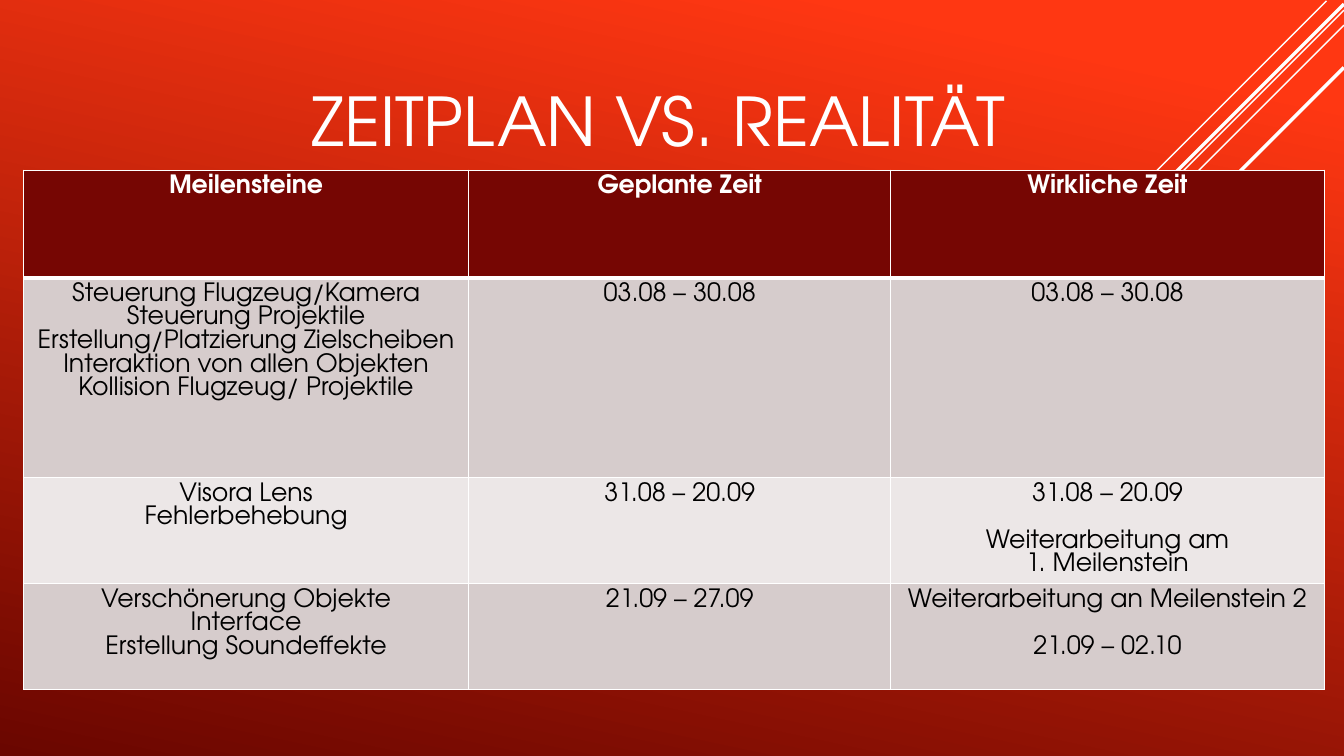
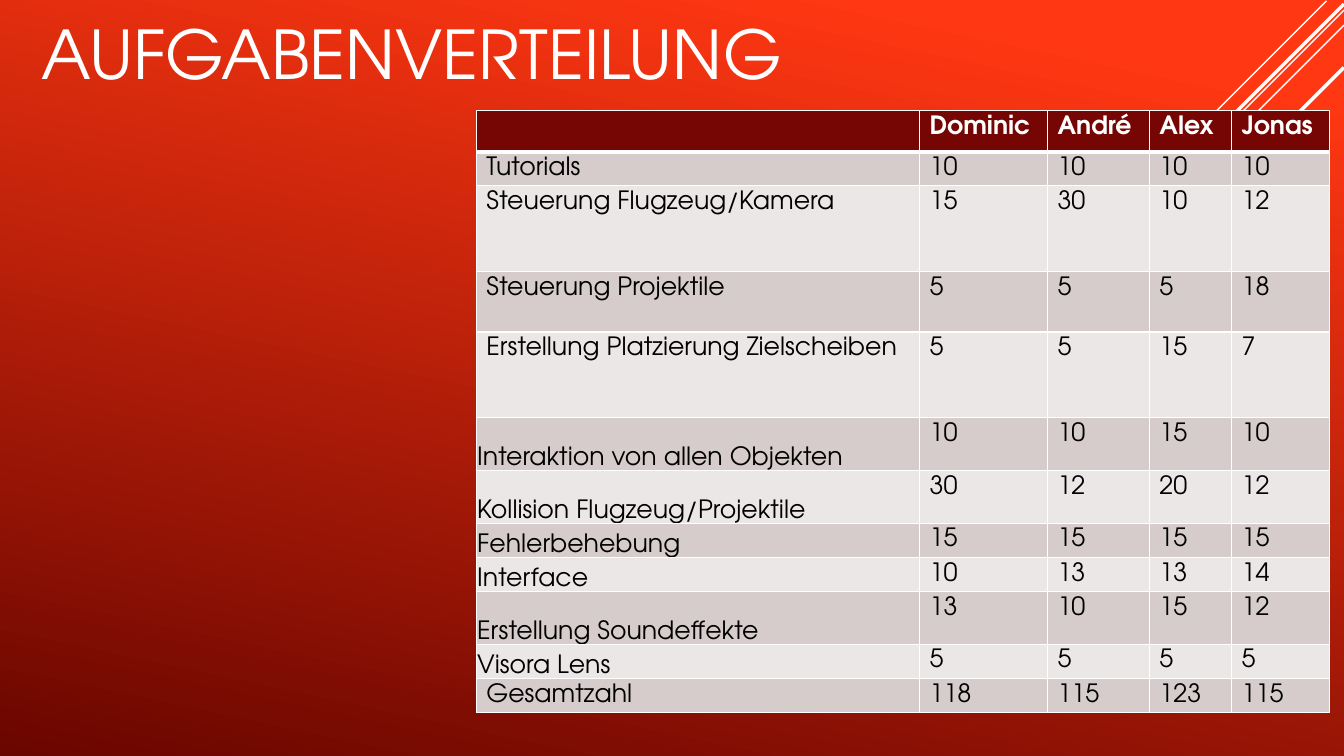
from dataclasses import dataclass
from typing import NamedTuple

import pptx
import pptx.dml.color
import pptx.enum.shapes
import pptx.enum.text
import pptx.oxml
import pptx.oxml.ns
import pptx.presentation
import pptx.shapes.autoshape
import pptx.slide
import pptx.table
import pptx.text.text
import pptx.util

Pt = pptx.util.Pt
RGBColor = pptx.dml.color.RGBColor
Align = pptx.enum.text.PP_ALIGN
Anchor = pptx.enum.text.MSO_ANCHOR


@dataclass(frozen=True)
class Theme:
    font: str = "TeX Gyre Adventor"
    title_size: float = 48
    table_size: float = 18
    white: str = "FFFFFF"
    black: str = "000000"
    glow: str = "FF3712"
    dusk: str = "6A0600"
    header: str = "760603"
    bands: tuple[str, str] = ("D6CCCC", "ECE7E7")
    border: float = 1
    header_border: float = 3
    paragraph_gap: float = 16.8


THEME = Theme()


class Box(NamedTuple):
    left: float
    top: float
    width: float
    height: float


class Diagonal(NamedTuple):
    """A 45° line running down and left from its start."""
    x: float
    y: float
    run: float
    weight: float


@dataclass(frozen=True)
class TableSlide:
    title: str
    title_box: Box
    left: float
    top: float
    columns: tuple[float, ...]
    heights: tuple[float, ...]
    rows: tuple[tuple[str, ...], ...]
    alignment: Align
    gaps: frozenset[tuple[int, int, int]] = frozenset()  # row, column, paragraph
    low_label_rows: range = range(0)


DIAGONALS = (
    Diagonal(947.5, 0.7, 299.8, 1),
    Diagonal(960, 7.2, 478.8, 1),
    Diagonal(960, 18, 390.4, 1),
    Diagonal(960, 2.9, 382, 2.5),
    Diagonal(960, 48.2, 342, 2.5),
)

SCHEDULE = TableSlide(
    title="ZEITPLAN VS. REALITÄT",
    title_box=Box(155.5, 20.9, 630, 97.2),
    left=16.7,
    top=121.6,
    columns=(318.2, 301.4, 309.6),
    heights=(76.8, 142.8, 75.8, 75.8),
    rows=(
        ("Meilensteine", "Geplante Zeit", "Wirkliche Zeit"),
        ("Steuerung Flugzeug/Kamera\nSteuerung Projektile\n"
         "Erstellung/Platzierung Zielscheiben\n"
         "Interaktion von allen Objekten\nKollision Flugzeug/ Projektile",
         "03.08 – 30.08", "03.08 – 30.08"),
        ("Visora Lens\nFehlerbehebung", "31.08 – 20.09",
         "31.08 – 20.09\nWeiterarbeitung am\n1. Meilenstein"),
        ("Verschönerung Objekte\nInterface\nErstellung Soundeffekte",
         "21.09 – 27.09", "Weiterarbeitung an Meilenstein 2\n21.09 – 02.10"),
    ),
    alignment=Align.CENTER,
    gaps=frozenset({(2, 2, 1), (3, 2, 1)}),
)

TASKS = TableSlide(
    title="AUFGABENVERTEILUNG",
    title_box=Box(-20.9, 0, 630, 69.8),
    left=340.2,
    top=79.2,
    columns=(316.6, 91.4, 72.8, 58.8, 69.8),
    heights=(29.2, 24.4, 61.2, 43.2, 61.2, 37.7, 37.7, 24.4, 24.4, 37.7, 24.4, 24.4),
    rows=(
        ("", "Dominic", "André", "Alex", "Jonas"),
        ("Tutorials", "10", "10", "10", "10"),
        ("Steuerung Flugzeug/Kamera", "15", "30", "10", "12"),
        ("Steuerung Projektile", "5", "5", "5", "18"),
        ("Erstellung Platzierung Zielscheiben", "5", "5", "15", "7"),
        ("Interaktion von allen Objekten", "10", "10", "15", "10"),
        ("Kollision Flugzeug/Projektile", "30", "12", "20", "12"),
        ("Fehlerbehebung", "15", "15", "15", "15"),
        ("Interface", "10", "13", "13", "14"),
        ("Erstellung Soundeffekte", "13", "10", "15", "12"),
        ("Visora Lens", "5", "5", "5", "5"),
        ("Gesamtzahl", "118", "115", "123", "115"),
    ),
    alignment=Align.LEFT,
    low_label_rows=range(5, 11),
)


def color(value: str) -> RGBColor:
    return RGBColor.from_string(value)


def format_paragraph(paragraph: pptx.text.text._Paragraph, size: float, value: str,
                     alignment: Align, bold: bool = False) -> None:
    paragraph.alignment = alignment
    for run in paragraph.runs:
        run.font.name = THEME.font
        run.font.size = Pt(size)
        run.font.bold = bold
        run.font.color.rgb = color(value)


def style_master(master: pptx.slide.SlideMaster, slide: pptx.slide.Slide) -> None:
    """Give the master its gradient and diagonals, which are drawn on a slide and moved."""
    fill = master.background.fill
    fill.gradient()
    fill.gradient_angle = 258
    for stop, position, value in zip(fill.gradient_stops, (0.1, 1), (THEME.glow, THEME.dusk)):
        stop.position = position
        stop.color.rgb = color(value)
    for diagonal in DIAGONALS:
        connector = slide.shapes.add_connector(
            pptx.enum.shapes.MSO_CONNECTOR.STRAIGHT, Pt(diagonal.x), Pt(diagonal.y),
            Pt(diagonal.x - diagonal.run), Pt(diagonal.y + diagonal.run))
        connector.line.color.rgb = color(THEME.white)
        connector.line.width = Pt(diagonal.weight)
        properties = connector.element.find(pptx.oxml.ns.qn("p:spPr"))
        properties.append(pptx.oxml.parse_xml(
            f'<a:effectLst {pptx.oxml.ns.nsdecls("a")}/>'))
        master.shapes.element.append(connector.element)


def add_title(slide: pptx.slide.Slide, text: str, box: Box) -> None:
    title = slide.shapes.title
    title.left, title.top, title.width, title.height = (Pt(length) for length in box)
    frame = title.text_frame
    frame.text = text
    frame.word_wrap = True
    frame.auto_size = pptx.enum.text.MSO_AUTO_SIZE.NONE
    frame.vertical_anchor = Anchor.BOTTOM
    format_paragraph(frame.paragraphs[0], THEME.title_size, THEME.white, Align.CENTER)


def set_borders(cell: pptx.table._Cell, top: float, bottom: float) -> None:
    properties = cell._tc.get_or_add_tcPr()
    weights = {"lnL": THEME.border, "lnR": THEME.border, "lnT": top, "lnB": bottom}
    for index, (tag, weight) in enumerate(weights.items()):
        properties.insert(index, pptx.oxml.parse_xml(
            f'<a:{tag} {pptx.oxml.ns.nsdecls("a")} w="{Pt(weight)}"><a:solidFill>'
            f'<a:srgbClr val="{THEME.white}"/></a:solidFill></a:{tag}>'))


def format_cell(cell: pptx.table._Cell, row: int, column: int, content: TableSlide) -> None:
    is_header = row == 0
    cell.text_frame.text = content.rows[row][column]
    for index, paragraph in enumerate(cell.text_frame.paragraphs):
        format_paragraph(paragraph, THEME.table_size,
                         THEME.white if is_header else THEME.black,
                         content.alignment, is_header)
        if (row, column, index) in content.gaps:
            paragraph.space_before = Pt(THEME.paragraph_gap)
    if column == 0 and row in content.low_label_rows:
        cell.vertical_anchor = Anchor.BOTTOM
        cell.margin_left = cell.margin_top = cell.margin_right = Pt(0.7)
        cell.margin_bottom = Pt(0)
    cell.fill.solid()
    cell.fill.fore_color.rgb = color(THEME.header if is_header else THEME.bands[(row - 1) % 2])
    set_borders(cell, THEME.header_border if row == 1 else THEME.border,
                THEME.header_border if is_header else THEME.border)


def add_content_table(slide: pptx.slide.Slide, content: TableSlide) -> None:
    table = slide.shapes.add_table(
        len(content.heights), len(content.columns), Pt(content.left), Pt(content.top),
        Pt(sum(content.columns)), Pt(sum(content.heights))).table
    table.horz_banding = False
    for column, width in zip(table.columns, content.columns):
        column.width = Pt(width)
    for row_index, height in enumerate(content.heights):
        table.rows[row_index].height = Pt(height)
        for column_index in range(len(content.columns)):
            format_cell(table.cell(row_index, column_index), row_index, column_index, content)


def add_table_slide(presentation: pptx.presentation.Presentation,
                    content: TableSlide) -> pptx.slide.Slide:
    slide = presentation.slides.add_slide(presentation.slide_layouts[0])
    subtitle = slide.placeholders[1].element
    subtitle.getparent().remove(subtitle)
    add_title(slide, content.title, content.title_box)
    add_content_table(slide, content)
    return slide


def main() -> None:
    presentation = pptx.Presentation()
    presentation.slide_width, presentation.slide_height = Pt(960), Pt(540)
    slides = [add_table_slide(presentation, content) for content in (SCHEDULE, TASKS)]
    style_master(presentation.slide_master, slides[0])
    presentation.save("out.pptx")


if __name__ == "__main__":
    main()
